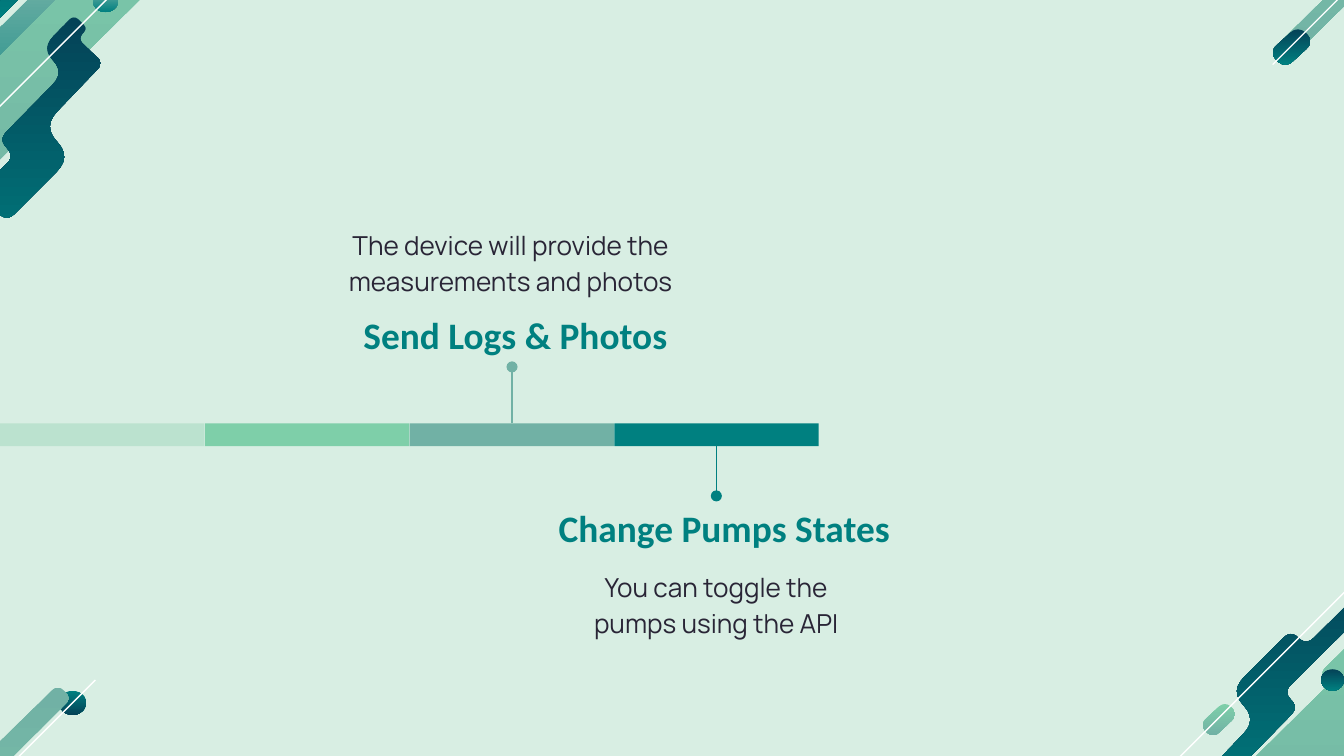
import pptx
import pptx.util
import pptx.dml.color
import pptx.enum.shapes
import pptx.enum.text
import lxml.etree

PX = 9144  # EMU per px, 100 px to the inch
PAGE_WIDTH = 1000

COLORS = {
    "mint": "D8EEE3", "pale": "BBE2CF", "green": "7ECFA9", "sage": "71B1A5",
    "teal": "008080", "navy": "044257", "ink": "292536", "white": "FFFFFF",
}

# Corners of the outlines as (x, y, cut), with the cut measured along each axis
STEPPED_OUTLINE = [
    (-60, 90, 6), (-48, 102, 6), (-84, 138, 5), (-74, 148, 5), (-110, 185, 6),
    (-98, 197, 6), (-47, 145, 5), (-37, 155, 5), (44, 75, 4), (36, 67, 4),
    (116, -12, 5), (106, -22, 5), (133, -50, 4), (125, -58, 4), (157, -91, 6),
    (145, -102, 6), (40, 2, 3), (33, -4, 3),
]
WAVY_OUTLINE = [
    (55, 11, 4), (31, 36, 9), (48, 54, 9), (-1, 104, 6), (11, 116, 6),
    (-86, 212, 4), (-76, 221, 4), (-7, 153, 6), (5, 165, 6), (53, 117, 11),
    (32, 94, 11), (77, 47, 4), (58, 29, 4), (65, 21, 3),
]
STEPPED_CENTER = (23, 46)
WAVY_CENTER = (-4, 116)


def px(length):
    return pptx.util.Emu(round(length * PX))


def color(name):
    return pptx.dml.color.RGBColor.from_string(COLORS[name])


def paint(shape, names):
    """Fill with one colour, or with a gradient running from top to bottom."""
    shape.shadow.inherit = False
    shape.line.fill.background()
    if len(names) == 1:
        shape.fill.solid()
        shape.fill.fore_color.rgb = color(names[0])
        return
    shape.fill.gradient()
    shape.fill.gradient_angle = 270
    for stop, name in zip(shape.fill.gradient_stops, names):
        stop.color.rgb = color(name)


def toward(corner, other, cut):
    """Point that lies a cut away from the corner, on the way to the other."""
    dx, dy = other[0] - corner[0], other[1] - corner[1]
    share = cut / max(abs(dx), abs(dy))
    return corner[0] + dx * share, corner[1] + dy * share


def add_blob(page, corners, *names, steps=6):
    """Closed outline with each corner rounded by a quadratic curve."""
    points = []
    for index, (x, y, cut) in enumerate(corners):
        start = toward((x, y), corners[index - 1], cut)
        end = toward((x, y), corners[(index + 1) % len(corners)], cut)
        for step in range(steps + 1):
            t = step / steps
            points.append(tuple(
                px((1 - t) ** 2 * a + 2 * t * (1 - t) * b + t ** 2 * c)
                for a, b, c in zip(start, (x, y), end)))
    builder = page.shapes.build_freeform(*points[0])
    builder.add_line_segments(points[1:], close=True)
    paint(builder.convert_to_shape(), names)


def moved(corners, center, target, scale):
    """Outline scaled about its center; a negative scale is a half turn."""
    return [(target[0] + (x - center[0]) * scale,
             target[1] + (y - center[1]) * scale, cut * abs(scale))
            for x, y, cut in corners]


def add_capsule(page, left, top, width, height, cut, *names):
    """Strip with round ends, rising to the right."""
    west, north = left - cut / 2, top - cut / 2
    east, south = left + width + cut / 2, top + height + cut / 2
    side = 2 * cut
    add_blob(page, [(west, south - side, cut), (west + side, south, cut),
                    (east, north + side, cut), (east - side, north, cut)], *names)


def add_preset(page, kind, left, top, width, height, *names):
    shape = page.shapes.add_shape(kind, px(left), px(top), px(width), px(height))
    paint(shape, names)


def add_line(page, x1, y1, x2, y2, name, dot=False):
    line = page.shapes.add_connector(
        pptx.enum.shapes.MSO_CONNECTOR.STRAIGHT, px(x1), px(y1), px(x2), px(y2))
    line.line.width = pptx.util.Pt(0.75)
    line.line.color.rgb = color(name)
    namespace = "{http://schemas.openxmlformats.org/drawingml/2006/main}"
    if dot:
        outline = line.line._get_or_add_ln()
        lxml.etree.SubElement(outline, namespace + "tailEnd", type="oval")
    lxml.etree.SubElement(line._element.spPr, namespace + "effectLst")


def add_text(page, text, left, top, width, height, *, font="Manrope", size=14,
             name="ink", bold=False, spacing=1.15, anchor="TOP"):
    box = page.shapes.add_textbox(px(left), px(top), px(width), px(height))
    frame = box.text_frame
    frame.word_wrap = True
    frame.vertical_anchor = pptx.enum.text.MSO_ANCHOR[anchor]
    frame.margin_left = frame.margin_right = px(10)
    frame.margin_top = frame.margin_bottom = px(10)
    para = frame.paragraphs[0]
    para.alignment = pptx.enum.text.PP_ALIGN.CENTER
    para.line_spacing = spacing
    span = para.add_run()
    span.text = text
    span.font.name = font
    span.font.size = pptx.util.Pt(size)
    span.font.bold = bold
    span.font.color.rgb = color(name)


def add_corners(page):
    oval = pptx.enum.shapes.MSO_SHAPE.OVAL
    # Top right
    add_capsule(page, 954, -110, 152, 150, 5, "green", "sage")
    add_capsule(page, 947, 22, 28, 26, 6, "navy", "teal")
    add_line(page, 947, 48, 1235, -240, "white")
    # Bottom left
    add_preset(page, oval, 44, 514, 20, 18, "teal", "navy")
    add_blob(page, moved(WAVY_OUTLINE, WAVY_CENTER, (-35, 623), -1.08), "sage", "green")
    add_line(page, -195, 772, 71, 506, "white")
    # Top left
    add_blob(page, STEPPED_OUTLINE, "green", "sage")
    add_capsule(page, -10, -103, 121, 120, 3, "navy", "teal")
    add_capsule(page, -90, -19, 140, 139, 5, "sage", "teal")
    add_preset(page, oval, 69, -8, 19, 17, "sage", "teal")
    add_blob(page, WAVY_OUTLINE, "navy", "teal")
    add_line(page, -72, 151, 194, -115, "white")
    # Bottom right
    add_blob(page, moved(STEPPED_OUTLINE, STEPPED_CENTER, (1002, 528), -0.94),
             "green", "sage")
    add_capsule(page, 895, 524, 24, 23, 5, "green", "sage")
    add_preset(page, oval, 983, 498, 17, 16, "navy", "teal")
    add_blob(page, moved(WAVY_OUTLINE, WAVY_CENTER, (969, 515), -0.94), "navy", "teal")
    add_line(page, 824, 617, 1052, 389, "white")


def add_timeline(page):
    # Bar of four equal steps
    for index, name in enumerate(["pale", "green", "sage", "teal"]):
        add_preset(page, pptx.enum.shapes.MSO_SHAPE.RECTANGLE,
                   index * 152.4, 315, 152, 17, name)
    # Labels
    heading = dict(font="Calibri", size=20, name="teal", bold=True, spacing=1.0)
    add_text(page, "Send Logs & Photos", 234, 222, 299, 50, **heading)
    add_text(page, "The device will provide the measurements and photos",
             207, 168, 346, 63, anchor="BOTTOM")
    add_text(page, "Change Pumps States", 376, 369, 326, 50, anchor="BOTTOM", **heading)
    add_text(page, "You can toggle the pumps using the API", 416, 412, 234, 63)
    # Pins from the bar to the labels
    add_line(page, 381, 315, 381, 273, "sage", dot=True)
    add_line(page, 533, 332, 533, 369, "teal", dot=True)


def main():
    deck = pptx.Presentation()
    deck.slide_width = px(PAGE_WIDTH)
    deck.slide_height = px(PAGE_WIDTH * 9 / 16)
    page = deck.slides.add_slide(deck.slide_layouts[6])
    page.background.fill.solid()
    page.background.fill.fore_color.rgb = color("mint")
    add_corners(page)
    add_timeline(page)
    deck.save("out.pptx")


if __name__ == "__main__":
    main()
